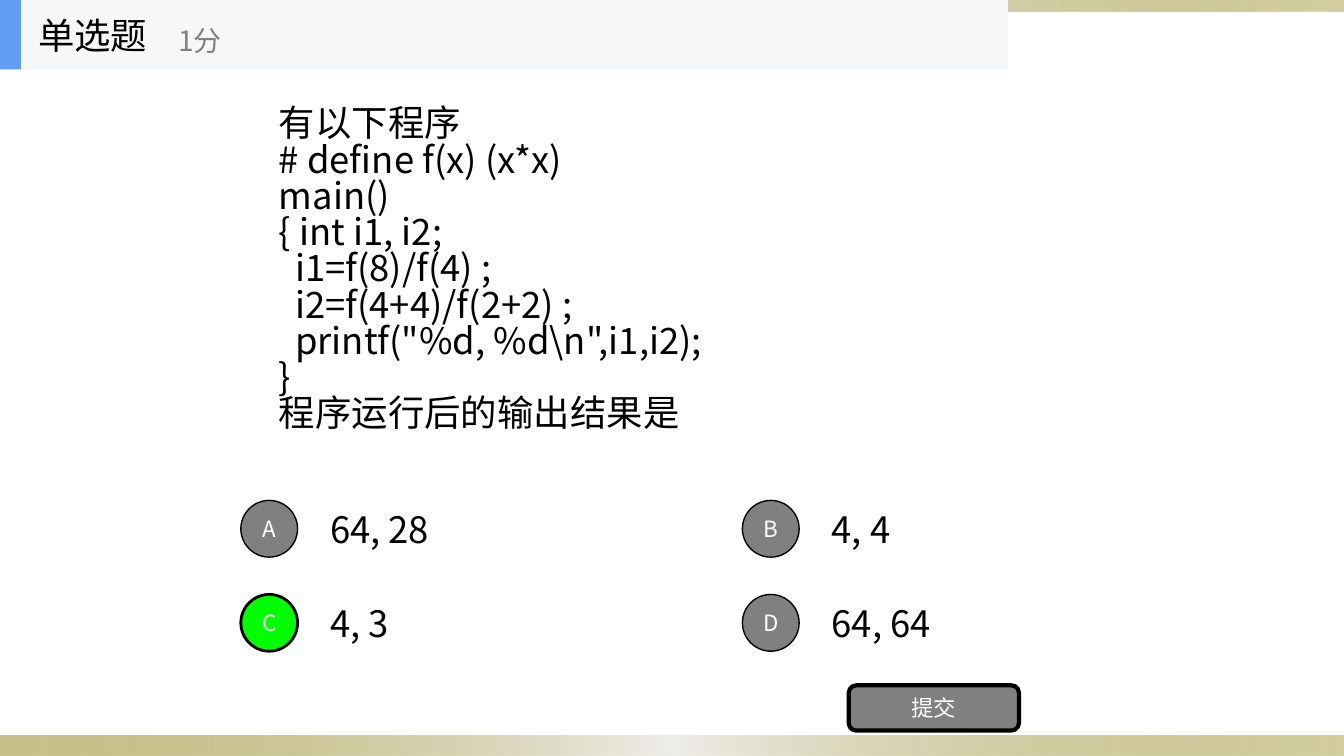
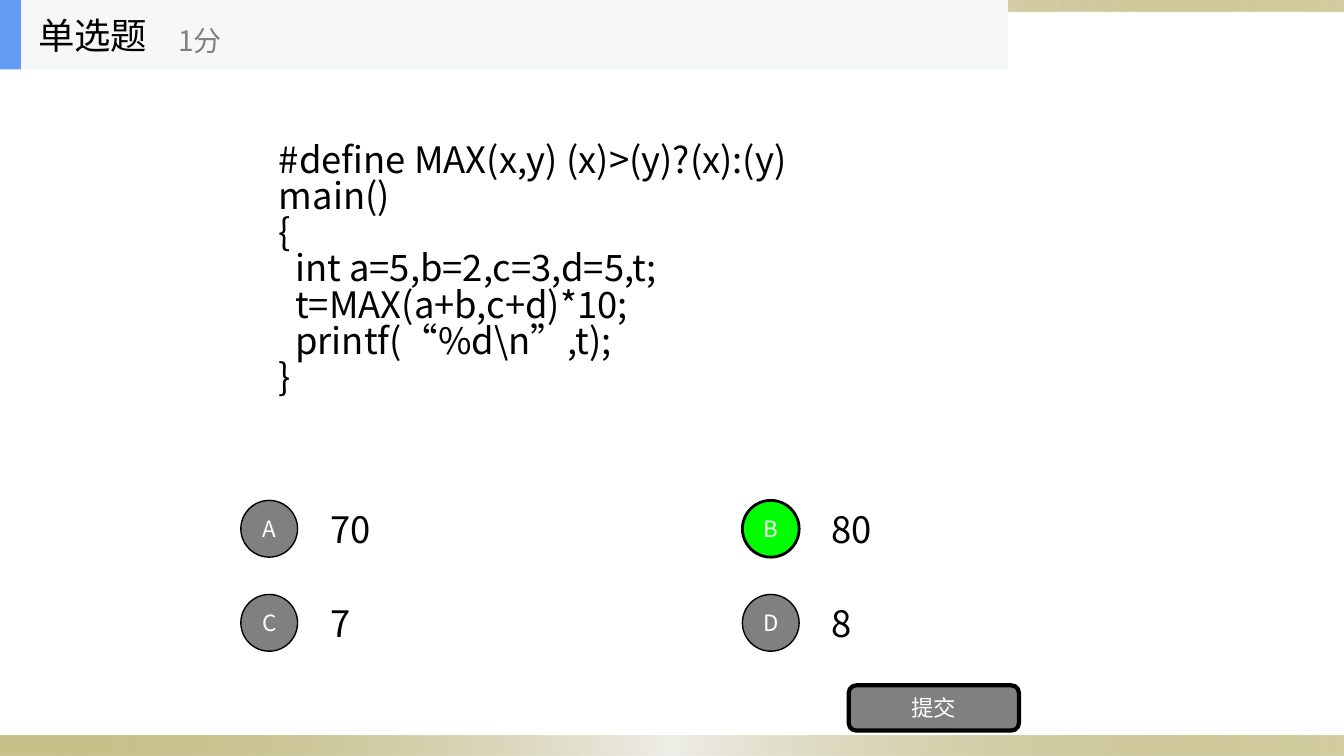
from lxml import etree
from pptx import Presentation
from pptx.dml.color import RGBColor
from pptx.enum.shapes import MSO_SHAPE as Preset
from pptx.enum.text import MSO_ANCHOR as Anchor, PP_ALIGN as Align
from pptx.oxml.ns import qn
from pptx.util import Cm, Pt

# Content
KIND, SCORE, SUBMIT = "单选题", "1分", "提交"
QUESTIONS = [
    {
        "lines": [
            "有以下程序",
            "# define f(x) (x*x)",
            "main()",
            "{ int i1, i2;",
            "  i1=f(8)/f(4) ;",
            "  i2=f(4+4)/f(2+2) ;",
            '  printf("%d, %d\\n",i1,i2);',
            "}",
            "程序运行后的输出结果是",
        ],
        "answers": {"A": "64, 28", "B": "4, 4", "C": "4, 3", "D": "64, 64"},
        "correct": "C",
    },
    {
        "lines": [
            "#define MAX(x,y) (x)>(y)?(x):(y)",
            "main()",
            "{",
            "  int a=5,b=2,c=3,d=5,t;",
            "  t=MAX(a+b,c+d)*10;",
            "  printf(“%d\\n”,t);",
            "}",
        ],
        "answers": {"A": "70", "B": "80", "C": "7", "D": "8"},
        "correct": "B",
    },
]

# Style
FONT = "Noto Sans CJK SC"
BLACK, WHITE = RGBColor(0, 0, 0), RGBColor(255, 255, 255)
GRAY, GREEN = RGBColor(0x80, 0x80, 0x80), RGBColor(0, 255, 0)
PALE, BLUE = RGBColor(0xF6, 0xF7, 0xF8), RGBColor(0x63, 0x9E, 0xF4)
BAND_STOPS = [(0, "918415", 50), (50, "EEEDE8", 100), (100, "918415", 40)]
BODY = {"size": Pt(26), "color": BLACK}
NOTE = {"size": Pt(20), "color": GRAY}
BUTTON = {"size": Pt(16), "color": WHITE}

# Layout, in centimetres
WIDTH, HEIGHT = 33.87, 19.05
HEADER_HEIGHT = 1.75
BADGE = 1.43
BADGE_LEFT, BADGE_TOP = 6.07, 12.61
COLUMN_STEP, ROW_STEP = 12.64, 2.37
ANSWER_SHIFT, ANSWER_WIDTH, ANSWER_HEIGHT = 2.0, 7.82, 1.78


def write(shape, lines, style, align=Align.LEFT, spacing=None):
    frame = shape.text_frame
    frame.word_wrap = True
    frame.vertical_anchor = Anchor.MIDDLE
    frame.text = "\n".join(lines)
    for paragraph in frame.paragraphs:
        paragraph.alignment = align
        paragraph.line_spacing = spacing
        for run in paragraph.runs:
            run.font.name, run.font.size = FONT, style["size"]
            run.font.color.rgb = style["color"]
            east_asian = etree.SubElement(run.font._element, qn("a:ea"))
            east_asian.set("typeface", FONT)


def add_text(shapes, box, lines, style, spacing=None):
    write(shapes.add_textbox(*map(Cm, box)), lines, style, spacing=spacing)


def add_block(shapes, preset, box, fill=None, line_width=0):
    block = shapes.add_shape(preset, *map(Cm, box))
    block.shadow.inherit = False
    if fill is not None:
        block.fill.solid()
        block.fill.fore_color.rgb = fill
    if line_width:
        block.line.color.rgb = BLACK
        block.line.width = Pt(line_width)
    else:
        block.line.fill.background()
    return block


def add_button(shapes, preset, box, label, fill, line_width):
    button = add_block(shapes, preset, box, fill, line_width)
    for side in ("left", "right", "top", "bottom"):
        setattr(button.text_frame, f"margin_{side}", 0)
    write(button, [label], BUTTON, Align.CENTER)


def add_master_band(master, slide, top, height):
    """Make a gradient band and move it to the master."""
    band = add_block(slide.shapes, Preset.RECTANGLE, (0, top, WIDTH, height))
    band.fill.gradient()
    band.fill.gradient_angle = 0
    stops = band.element.spPr.find(qn("a:gradFill")).find(qn("a:gsLst"))
    for old in list(stops):
        stops.remove(old)
    for position, color, opacity in BAND_STOPS:
        stop = etree.SubElement(stops, qn("a:gs"), pos=str(position * 1000))
        tint = etree.SubElement(stop, qn("a:srgbClr"), val=color)
        etree.SubElement(tint, qn("a:alpha"), val=str(opacity * 1000))
    master.element.cSld.spTree.append(band.element)


def add_header(slide):
    header = slide.shapes.add_group_shape().shapes
    for width, fill in ((25.4, PALE), (0.53, BLUE)):
        add_block(header, Preset.RECTANGLE, (0, 0, width, HEADER_HEIGHT), fill)
    add_text(header, (0.71, 0, 5.28, HEADER_HEIGHT), [KIND], BODY)
    add_text(header, (4.24, 0.3, 6.35, 1.43), [SCORE], NOTE)


def add_question(slide, question):
    shapes = slide.shapes
    add_text(shapes, (6.78, HEADER_HEIGHT, 20.32, 10.16), question["lines"], BODY, 0.83)

    # Answers in two columns
    for index, (letter, answer) in enumerate(question["answers"].items()):
        row, column = divmod(index, 2)
        left = BADGE_LEFT + column * COLUMN_STEP
        top = BADGE_TOP + row * ROW_STEP
        fill, line_width = (GREEN, 2) if letter == question["correct"] else (GRAY, 1)
        answer_top = top + (BADGE - ANSWER_HEIGHT) / 2
        add_text(shapes, (left + ANSWER_SHIFT, answer_top, ANSWER_WIDTH, ANSWER_HEIGHT),
                 [answer], BODY)
        add_button(shapes, Preset.OVAL, (left, top, BADGE, BADGE), letter, fill, line_width)

    add_button(shapes, Preset.ROUNDED_RECTANGLE, (21.39, 17.27, 4.29, 1.14), SUBMIT, GRAY, 3)


def main():
    prs = Presentation()
    prs.slide_width, prs.slide_height = Cm(WIDTH), Cm(HEIGHT)
    slides = [prs.slides.add_slide(prs.slide_layouts[6]) for _ in QUESTIONS]
    for top, height in ((18.54, 0.51), (0, 0.3)):
        add_master_band(prs.slide_master, slides[0], top, height)
    for slide, question in zip(slides, QUESTIONS):
        add_question(slide, question)
        add_header(slide)
    prs.save("out.pptx")


if __name__ == "__main__":
    main()
